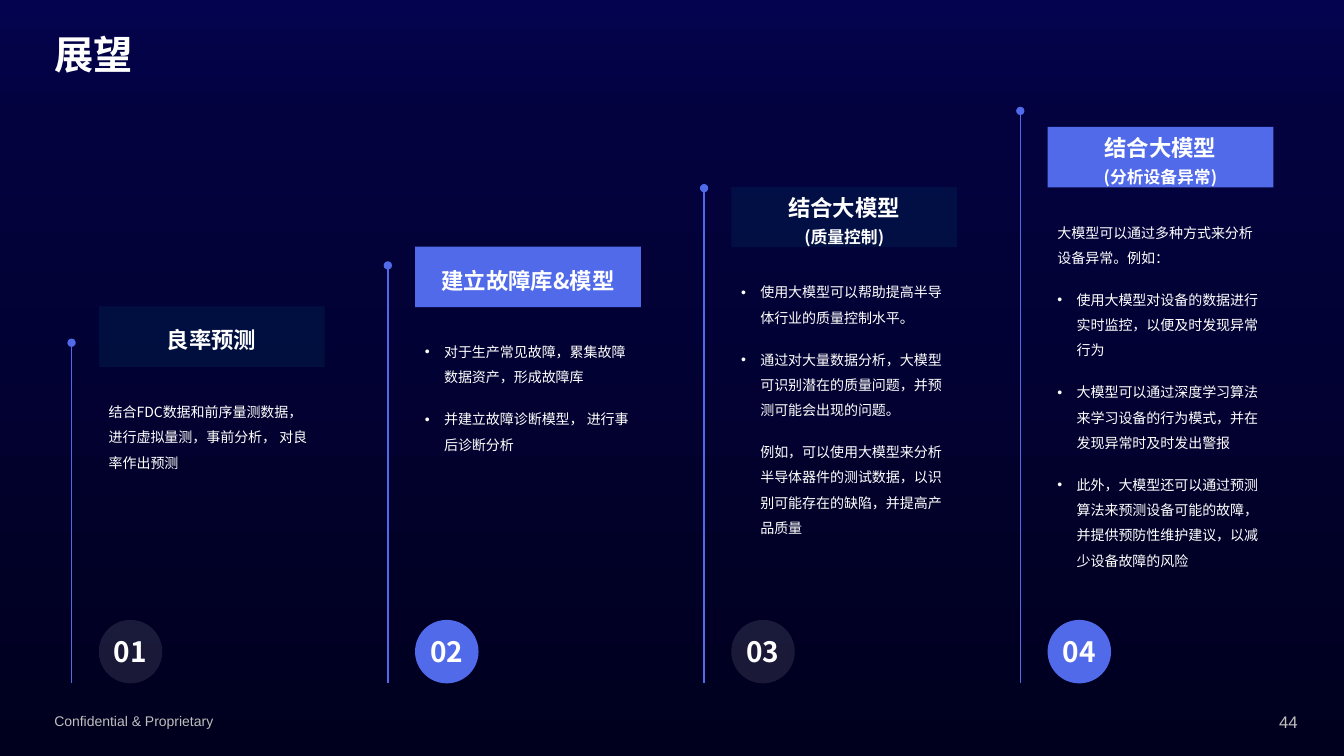
from dataclasses import dataclass

from lxml import etree
from pptx import Presentation
from pptx.dml.color import RGBColor
from pptx.enum.shapes import MSO_CONNECTOR, MSO_SHAPE
from pptx.enum.text import MSO_ANCHOR, MSO_AUTO_SIZE, PP_ALIGN
from pptx.oxml.ns import qn
from pptx.util import Inches, Pt

RECTANGLE, OVAL = MSO_SHAPE.RECTANGLE, MSO_SHAPE.OVAL
STRAIGHT = MSO_CONNECTOR.STRAIGHT
MIDDLE, NO_AUTOFIT = MSO_ANCHOR.MIDDLE, MSO_AUTO_SIZE.NONE
LEFT, CENTER, RIGHT = PP_ALIGN.LEFT, PP_ALIGN.CENTER, PP_ALIGN.RIGHT

CJK_FONT, FOOTER_FONT = "Noto Sans CJK SC", "Arial"
WHITE, BLUE, TEAL, GREY = "FFFFFF", "516AE9", "005F81", "BFBFBF"
BACKGROUND_STOPS = [(0, "04034F"), (16, "03023F"), (100, "00001E")]

# The columns are evenly spaced and climb by a fixed step
FIRST_LEFT, LAST_LEFT = 0.98, 10.39
FIRST_HEADING_TOP, LAST_HEADING_TOP = 3.04, 1.26
FIRST_LINE_TOP, LAST_LINE_TOP = 3.4, 1.1
COLUMN_WIDTH, HEADING_HEIGHT = 2.24, 0.6
BODY_OFFSET, LINE_OFFSET = 0.84, 0.27
BASELINE, CIRCLE_SIZE = 6.78, 0.63
BULLET_INDENT = 0.19


@dataclass
class Item:
    text: str
    bullet: bool = True
    indent: float = BULLET_INDENT


@dataclass
class Stage:
    heading: list[str]
    items: list[Item]
    body_height: float
    highlighted: bool


STAGES = [
    Stage(["良率预测"], [
        Item("结合FDC数据和前序量测数据， 进行虚拟量测，事前分析， 对良率作出预测", False, 0),
    ], 0.81, False),
    Stage(["建立故障库&模型"], [
        Item("对于生产常见故障，累集故障数据资产，形成故障库"),
        Item("并建立故障诊断模型， 进行事后诊断分析"),
    ], 1.23, True),
    Stage(["结合大模型", "(质量控制)"], [
        Item("使用大模型可以帮助提高半导体行业的质量控制水平。"),
        Item("通过对大量数据分析，大模型可识别潜在的质量问题，并预测可能会出现的问题。"),
        Item("例如，可以使用大模型来分析半导体器件的测试数据，以识别可能存在的缺陷，并提高产品质量", False),
    ], 2.66, False),
    Stage(["结合大模型", "(分析设备异常)"], [
        Item("大模型可以通过多种方式来分析设备异常。例如：", False, 0),
        Item("使用大模型对设备的数据进行实时监控，以便及时发现异常行为"),
        Item("大模型可以通过深度学习算法来学习设备的行为模式，并在发现异常时及时发出警报"),
        Item("此外，大模型还可以通过预测算法来预测设备可能的故障，并提供预防性维护建议，以减少设备故障的风险"),
    ], 3.59, True),
]


def color(hex_code: str) -> RGBColor:
    return RGBColor.from_string(hex_code)


def step(first: float, last: float, index: int) -> float:
    return first + (last - first) * index / (len(STAGES) - 1)


def format_paragraph(paragraph, size: float, bold: bool = False, align=LEFT,
                     spacing: float = 1.0, font_name: str = CJK_FONT,
                     hex_code: str = WHITE) -> None:
    paragraph.alignment = align
    paragraph.line_spacing = spacing
    font = paragraph.font
    font.size, font.bold, font.name = Pt(size), bold, font_name
    font.color.rgb = color(hex_code)
    defaults = paragraph._p.pPr.find(qn("a:defRPr"))
    etree.SubElement(defaults, qn("a:ea"), typeface=font_name)


def set_indent(paragraph, item: Item) -> None:
    properties = paragraph._p.get_or_add_pPr()
    properties.set("marL", str(Inches(item.indent)))
    properties.set("indent", str(-Inches(item.indent) if item.bullet else 0))
    if item.bullet:
        etree.SubElement(properties, qn("a:buFont"), typeface="Arial")
        etree.SubElement(properties, qn("a:buChar"), char="•")
    else:
        etree.SubElement(properties, qn("a:buNone"))


def next_paragraph(frame, index: int):
    return frame.add_paragraph() if index else frame.paragraphs[0]


def add_filled_shape(slide, kind, left: float, top: float, width: float,
                     height: float, hex_code: str, opacity: int):
    shape = slide.shapes.add_shape(kind, Inches(left), Inches(top), Inches(width), Inches(height))
    shape.shadow.inherit = False
    shape.line.fill.background()
    shape.fill.solid()
    shape.fill.fore_color.rgb = color(hex_code)
    if opacity < 100:
        fill_color = shape._element.spPr.find(".//" + qn("a:srgbClr"))
        etree.SubElement(fill_color, qn("a:alpha"), val=str(opacity * 1000))
    shape.text_frame.vertical_anchor = MIDDLE
    return shape


def add_text_box(slide, left: float, top: float, width: float, height: float):
    box = slide.shapes.add_textbox(Inches(left), Inches(top), Inches(width), Inches(height))
    box.text_frame.word_wrap = True
    return box.text_frame


def add_stem(slide, left: float, top: float) -> None:
    stem = slide.shapes.add_connector(STRAIGHT, Inches(left), Inches(top), Inches(left), Inches(BASELINE))
    stem.line.color.rgb = color(BLUE)
    stem.line.width = Pt(1)
    etree.SubElement(stem.line._get_or_add_ln(), qn("a:headEnd"), type="oval")
    etree.SubElement(stem._element.spPr, qn("a:effectLst"))


def add_stage(slide, index: int, stage: Stage) -> None:
    left = step(FIRST_LEFT, LAST_LEFT, index)
    top = step(FIRST_HEADING_TOP, LAST_HEADING_TOP, index)
    add_stem(slide, left - LINE_OFFSET, step(FIRST_LINE_TOP, LAST_LINE_TOP, index))

    # Heading
    fill, opacity = (BLUE, 100) if stage.highlighted else (TEAL, 15)
    heading = add_filled_shape(slide, RECTANGLE, left, top, COLUMN_WIDTH, HEADING_HEIGHT, fill, opacity)
    for line, text in enumerate(stage.heading):
        paragraph = next_paragraph(heading.text_frame, line)
        paragraph.text = text
        format_paragraph(paragraph, 12 if line else 16, True, CENTER, 1.25)

    # Body
    frame = add_text_box(slide, left, top + BODY_OFFSET, COLUMN_WIDTH, stage.body_height)
    frame.margin_top = frame.margin_bottom = Inches(0.04)
    for line, item in enumerate(stage.items):
        paragraph = next_paragraph(frame, line)
        paragraph.text = item.text
        paragraph.space_after = Pt(12)
        set_indent(paragraph, item)
        format_paragraph(paragraph, 10, spacing=1.5)

    # Number
    fill, opacity = (BLUE, 100) if stage.highlighted else (WHITE, 10)
    circle = add_filled_shape(slide, OVAL, left, BASELINE - CIRCLE_SIZE, CIRCLE_SIZE, CIRCLE_SIZE, fill, opacity)
    circle.text_frame.word_wrap = False
    paragraph = circle.text_frame.paragraphs[0]
    paragraph.text = f"{index + 1:02}"
    format_paragraph(paragraph, 20, True, CENTER)


def set_background(slide) -> None:
    fill = slide.background.fill
    fill.gradient()
    fill.gradient_angle = 270
    stops = slide._element.find(".//" + qn("a:gsLst"))
    for stop in list(stops):
        stops.remove(stop)
    for position, hex_code in BACKGROUND_STOPS:
        stop = etree.SubElement(stops, qn("a:gs"), pos=str(position * 1000))
        etree.SubElement(stop, qn("a:srgbClr"), val=hex_code)


def add_title(slide, text: str) -> None:
    title = slide.shapes.title
    title.left, title.top = Inches(0.44), Inches(0.3)
    title.width, title.height = Inches(10.08), Inches(0.53)
    frame = title.text_frame
    frame.text = text
    frame.vertical_anchor, frame.auto_size = MIDDLE, NO_AUTOFIT
    format_paragraph(frame.paragraphs[0], 28, True, spacing=0.9)


def add_footer(slide, text: str, left: float, top: float, width: float,
               height: float, size: float, align) -> None:
    paragraph = add_text_box(slide, left, top, width, height).paragraphs[0]
    paragraph.text = text
    format_paragraph(paragraph, size, align=align, font_name=FOOTER_FONT, hex_code=GREY)


def main() -> None:
    presentation = Presentation()
    presentation.slide_width, presentation.slide_height = Inches(13.33), Inches(7.5)
    slide = presentation.slides.add_slide(presentation.slide_layouts[5])
    set_background(slide)
    add_title(slide, "展望")
    for index, stage in enumerate(STAGES):
        add_stage(slide, index, stage)
    add_footer(slide, "Confidential & Proprietary", 0.44, 7.02, 4.5, 0.27, 10, LEFT)
    add_footer(slide, "44", 12.47, 7.01, 0.5, 0.3, 12, RIGHT)
    presentation.save("out.pptx")


if __name__ == "__main__":
    main()
